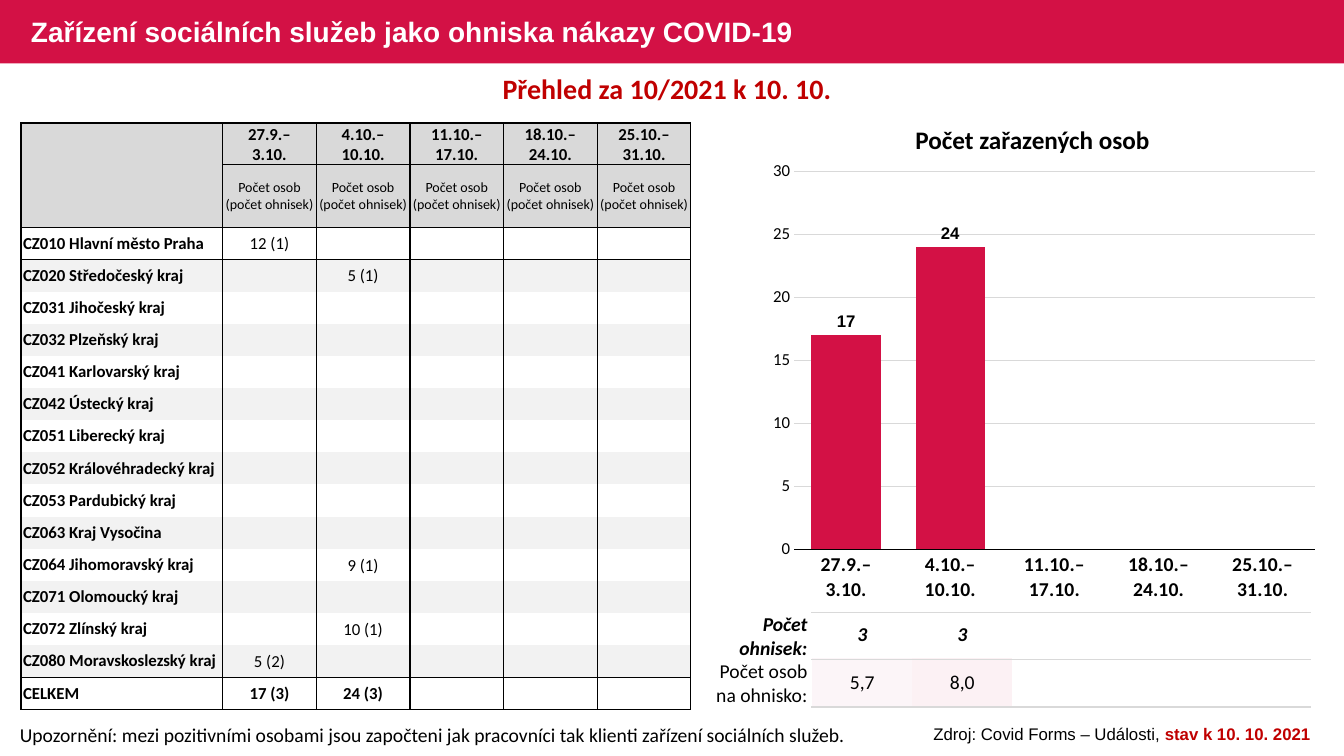
import lxml.etree
import pptx
import pptx.chart.data
import pptx.dml.color
import pptx.enum.chart
import pptx.enum.shapes
import pptx.enum.text
import pptx.oxml.ns
import pptx.util

Cm, Pt, qn = pptx.util.Cm, pptx.util.Pt, pptx.oxml.ns.qn
ALIGN = pptx.enum.text.PP_ALIGN
MIDDLE = pptx.enum.text.MSO_ANCHOR.MIDDLE

COLORS = {
    "crimson": "D31145", "red": "C00000", "black": "000000", "white": "FFFFFF",
    "header": "D9D9D9", "band": "F2F2F2", "pink1": "FCF5F8", "pink2": "FCF1F4",
}
WEEKS = ["27.9.–\n3.10.", "4.10.–\n10.10.", "11.10.–\n17.10.", "18.10.–\n24.10.", "25.10.–\n31.10."]
PERSONS = [17, 24, None, None, None]
SUBHEAD = "Počet osob (počet ohnisek)"
REGIONS = [
    ("CZ010 Hlavní město Praha", {1: "12 (1)"}),
    ("CZ020 Středočeský kraj", {2: "5 (1)"}),
    ("CZ031 Jihočeský kraj", {}),
    ("CZ032 Plzeňský kraj", {}),
    ("CZ041 Karlovarský kraj", {}),
    ("CZ042 Ústecký kraj", {}),
    ("CZ051 Liberecký kraj", {}),
    ("CZ052 Královéhradecký kraj", {}),
    ("CZ053 Pardubický kraj", {}),
    ("CZ063 Kraj Vysočina", {}),
    ("CZ064 Jihomoravský kraj", {2: "9 (1)"}),
    ("CZ071 Olomoucký kraj", {}),
    ("CZ072 Zlínský kraj", {2: "10 (1)"}),
    ("CZ080 Moravskoslezský kraj", {1: "5 (2)"}),
    ("CELKEM", {1: "17 (3)", 2: "24 (3)"}),
]
OUTBREAKS = ["3", "3"]
PER_OUTBREAK = [("5,7", "pink1"), ("8,0", "pink2")]
ROW_LABELS = ["Počet ohnisek:", "Počet osob na ohnisko:"]
CENTER_INSET = (0.03, 0.03, 0.03, 0)
NAME_INSET = (0.05, 0, 0.05, 0)
LABEL_INSET = (0.03, 0, 0.1, 0)
NO_STYLE = "{2D5ABB26-0587-4C30-8999-92F81FD0307C}"
PLOT_LAYOUT = {"x": 0.057, "y": 0.041, "w": 0.921, "h": 0.824}


def rgb(name):
    return pptx.dml.color.RGBColor.from_string(COLORS[name])


def style(font, size, name="Calibri", color="black", bold=False, italic=False):
    font.size, font.name, font.bold, font.italic = Pt(size), name, bold, italic
    font.color.rgb = rgb(color)


def write(tf, text, align=ALIGN.LEFT, spacing=None, size=14, **fmt):
    p = tf.paragraphs[0]
    p.alignment = align
    p.line_spacing = spacing
    for i, line in enumerate(text.split("\n")):
        if i:
            p.add_line_break()
        r = p.add_run()
        r.text = line
        style(r.font, size, **fmt)
    for br in p._p.findall(qn("a:br")):
        lxml.etree.SubElement(br, qn("a:rPr"), sz=str(size * 100))


def add_text(s, box, text, **fmt):
    tf = s.shapes.add_textbox(*map(Cm, box)).text_frame
    tf.word_wrap = True
    write(tf, text, **fmt)
    return tf


def add_table(s, left, top, widths, heights):
    frame = s.shapes.add_table(len(heights), len(widths), Cm(left), Cm(top), Cm(sum(widths)), Cm(sum(heights)))
    table = frame.table
    table.first_row = table.horz_banding = False
    table._tbl.tblPr.find(qn("a:tableStyleId")).text = NO_STYLE
    for column, width in zip(table.columns, widths):
        column.width = Cm(width)
    for row, height in zip(table.rows, heights):
        row.height = Cm(height)
    return table


def format_cell(cell, inset=CENTER_INSET, fill=None, color="black", **borders):
    cell.margin_left, cell.margin_top, cell.margin_right, cell.margin_bottom = map(Cm, inset)
    cell.vertical_anchor = MIDDLE
    tcPr = cell._tc.get_or_add_tcPr()
    for side in "LRTB":
        if side in borders:
            ln = lxml.etree.SubElement(tcPr, qn("a:ln" + side), w=str(Pt(borders[side])))
            solid = lxml.etree.SubElement(ln, qn("a:solidFill"))
            lxml.etree.SubElement(solid, qn("a:srgbClr"), val=COLORS[color])
    if fill:
        cell.fill.solid()
        cell.fill.fore_color.rgb = rgb(fill)
    else:
        cell.fill.background()


def add_regions(s):
    table = add_table(s, 0.53, 3.1, [5.08] + [2.36] * 5, [1.04, 1.58] + [0.81] * len(REGIONS))
    total = len(REGIONS) + 1
    rules = {0: {"T": 1, "B": 1}, 1: {"T": 1, "B": 0.5}, 2: {"T": 0.5},
             total - 1: {"B": 1}, total: {"T": 1, "B": 1}}
    for i in range(total + 1):
        fill = "header" if i < 2 else "band" if i % 2 and i < total else None
        for j in range(6):
            lines = dict(rules.get(i, {}), L=1, R=1)
            if j == 0 and i < 2:
                lines.pop("TB"[1 - i])
            inset = NAME_INSET if j == 0 and i > 1 else CENTER_INSET
            format_cell(table.cell(i, j), inset, fill, **lines)
    table.cell(0, 0).merge(table.cell(1, 0))
    for j, week in enumerate(WEEKS, 1):
        write(table.cell(0, j).text_frame, week, align=ALIGN.CENTER, size=12, bold=True)
        write(table.cell(1, j).text_frame, SUBHEAD, align=ALIGN.CENTER, size=10)
    for i, (region, counts) in enumerate(REGIONS, 2):
        write(table.cell(i, 0).text_frame, region, size=12, bold=True)
        for j, count in counts.items():
            write(table.cell(i, j).text_frame, count, align=ALIGN.CENTER, size=12, bold=i == total)


def add_ratios(s):
    table = add_table(s, 20.47, 15.39, [2.52] * 5, [1.2] * 2)
    for j in range(5):
        format_cell(table.cell(0, j))
        format_cell(table.cell(1, j), fill=PER_OUTBREAK[j][1] if j < len(PER_OUTBREAK) else None)
    for j, (count, (ratio, _)) in enumerate(zip(OUTBREAKS, PER_OUTBREAK)):
        write(table.cell(0, j).text_frame, count, align=ALIGN.CENTER, bold=True, italic=True)
        write(table.cell(1, j).text_frame, ratio, align=ALIGN.CENTER)


def add_row_labels(s):
    table = add_table(s, 17.88, 15.44, [2.57] + [1.8] * 7, [1.18] * 2)
    for i, label in enumerate(ROW_LABELS):
        format_cell(table.cell(i, 0), LABEL_INSET)
        write(table.cell(i, 0).text_frame, label, align=ALIGN.RIGHT, bold=i == 0, italic=i == 0)
        for j in range(1, 8):
            format_cell(table.cell(i, j), color="header", T=1, B=1)


def add_persons_chart(s):
    data = pptx.chart.data.CategoryChartData()
    data.categories = WEEKS
    data.add_series("Počet osob", PERSONS)
    kind = pptx.enum.chart.XL_CHART_TYPE.COLUMN_CLUSTERED
    chart = s.shapes.add_chart(kind, Cm(19.2), Cm(3.84), Cm(14.25), Cm(11.56), data).chart
    chart.has_legend = chart.has_title = False
    style(chart.font, 14, name="Arial", bold=True)
    plot = chart.plots[0]
    plot.gap_width, plot.vary_by_categories = 50, False
    fill = plot.series[0].format.fill
    fill.solid()
    fill.fore_color.rgb = rgb("crimson")
    plot.has_data_labels = True
    labels = plot.data_labels
    labels.show_value = True
    labels.position = pptx.enum.chart.XL_LABEL_POSITION.OUTSIDE_END
    style(labels.font, 12, name="Arial", bold=True)

    weeks, values = chart.category_axis, chart.value_axis
    for axis in (weeks, values):
        axis.major_tick_mark = axis.minor_tick_mark = pptx.enum.chart.XL_TICK_MARK.NONE
    style(weeks.tick_labels.font, 14, bold=True)
    style(values.tick_labels.font, 12)
    values.minimum_scale, values.maximum_scale, values.major_unit = 0, 30, 5
    values.format.line.fill.background()
    for line, color in ((weeks.format.line, "black"), (values.major_gridlines.format.line, "header")):
        line.width = Pt(0.75)
        line.color.rgb = rgb(color)

    area = chart._chartSpace.chart.plotArea
    for old in area.findall(qn("c:layout")):
        area.remove(old)
    layout = lxml.etree.Element(qn("c:layout"))
    area.insert(0, layout)
    manual = lxml.etree.SubElement(layout, qn("c:manualLayout"))
    modes = {"layoutTarget": "inner", "xMode": "edge", "yMode": "edge"}
    for tag, value in {**modes, **PLOT_LAYOUT}.items():
        lxml.etree.SubElement(manual, qn("c:" + tag), val=str(value))


def main():
    """Build the slide on outbreaks in social service facilities."""
    prs = pptx.Presentation()
    prs.slide_width, prs.slide_height = Cm(33.87), Cm(19.05)
    s = prs.slides.add_slide(prs.slide_layouts[6])
    bar = s.shapes.add_shape(pptx.enum.shapes.MSO_SHAPE.RECTANGLE, 0, 0, prs.slide_width, Cm(1.6))
    bar.shadow.inherit = False
    bar.fill.solid()
    bar.fill.fore_color.rgb = rgb("crimson")
    bar.line.fill.background()

    add_ratios(s)
    add_text(s, (0.25, 18.08, 21.64, 0.86), "Upozornění: mezi pozitivními osobami jsou započteni "
             "jak pracovníci tak klienti zařízení sociálních služeb.")
    tf = add_text(s, (0.53, 0.05, 20.65, 1.6), "Zařízení sociálních služeb jako ohniska nákazy COVID-19",
                  size=20, name="Arial", color="white", bold=True, spacing=0.9)
    tf.vertical_anchor = MIDDLE
    tf = add_text(s, (22.94, 18.11, 10.67, 0.76), "Zdroj: Covid Forms – Události, ",
                  align=ALIGN.CENTER, size=12, name="Arial")
    write(tf, "stav k 10. 10. 2021", align=ALIGN.CENTER, size=12, name="Arial", color="red", bold=True)
    add_text(s, (0.53, 1.68, 32.56, 1.12), "Přehled za 10/2021 k 10. 10.",
             align=ALIGN.CENTER, size=20, color="red", bold=True)
    add_regions(s)
    add_persons_chart(s)
    add_text(s, (19.2, 3.02, 13.64, 1.02), "Počet zařazených osob", align=ALIGN.CENTER, size=18, bold=True)
    add_row_labels(s)
    prs.save("out.pptx")


if __name__ == "__main__":
    main()
